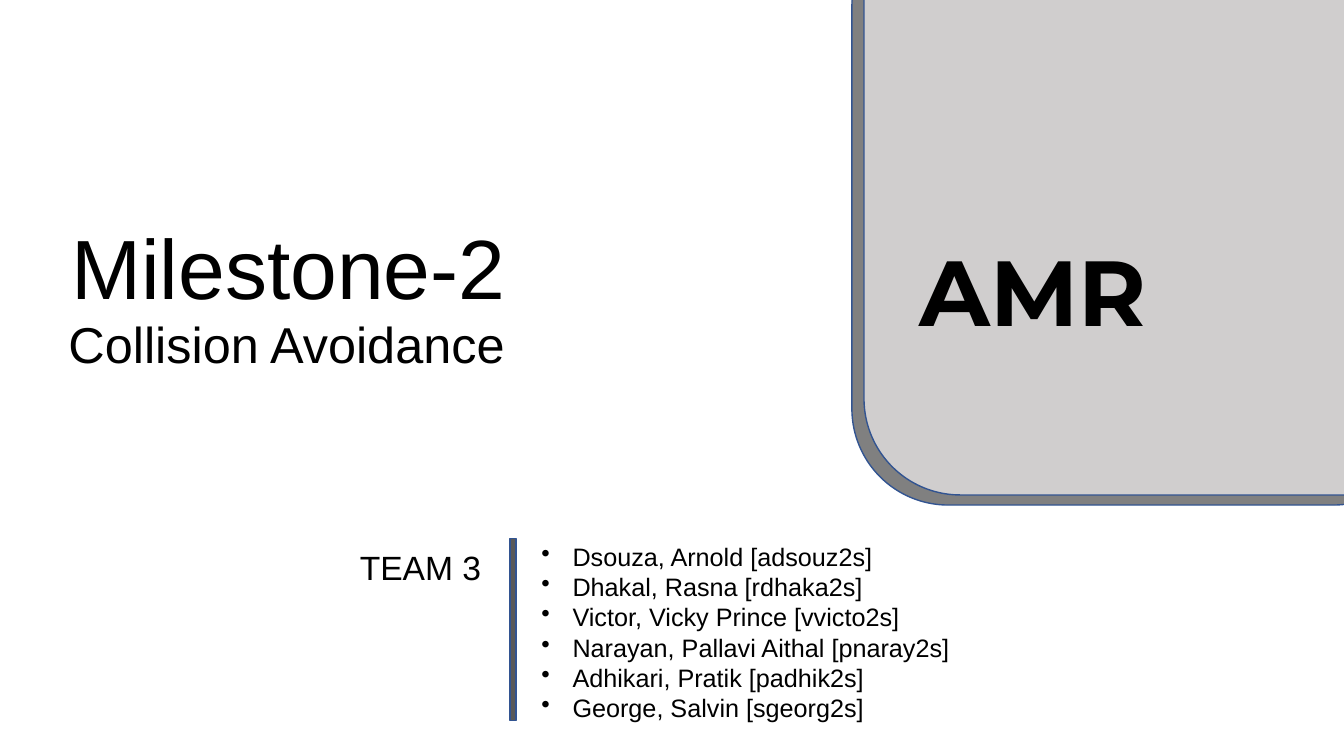
from pptx import Presentation
from pptx.dml.color import RGBColor
from pptx.enum.shapes import MSO_SHAPE
from pptx.enum.text import MSO_ANCHOR, PP_ALIGN
from pptx.oxml.ns import qn
from pptx.util import Inches, Pt
from lxml import etree

ROUND, RECT = MSO_SHAPE.ROUNDED_RECTANGLE, MSO_SHAPE.RECTANGLE
TOP, BOTTOM = MSO_ANCHOR.TOP, MSO_ANCHOR.BOTTOM
LEFT, CENTER = PP_ALIGN.LEFT, PP_ALIGN.CENTER

BLACK = RGBColor(0x00, 0x00, 0x00)
BLUE = RGBColor(0x32, 0x54, 0x91)
GRAY = RGBColor(0x80, 0x80, 0x80)
LIGHT = RGBColor(0xD0, 0xCE, 0xCE)
DARK = RGBColor(0x59, 0x59, 0x59)

# Content: shapes as (kind, box, fill)
SHAPES = [
    (ROUND, (8.45, -0.91, 5.73, 5.92), GRAY),
    (ROUND, (8.57, -1.01, 5.73, 5.92), LIGHT),
    (RECT, (5.06, 5.34, 0.06, 1.81), DARK),
]
# Labels as (text, box, size, font, bold, align, anchor, line spacing, space before)
LABELS = [
    ("Milestone-2", (-2.14, 0.59, 10, 2.61), 60, "Arial", False, CENTER, BOTTOM, 0.9, 0),
    ("Collision Avoidance", (0.58, 3.06, 9.29, 1.31), 36, "Arial", False, LEFT, TOP, 1, 0),
    ("AMR", (5.25, 0.88, 10, 2.61), 66, "Montserrat", True, CENTER, BOTTOM, 0.9, 0),
    ("TEAM 3", (3.33, 5.42, 1.68, 1.81), 24, "Arial", False, CENTER, TOP, 0.9, 10),
]
TEAM = [
    "Dsouza, Arnold [adsouz2s]",
    "Dhakal, Rasna [rdhaka2s]",
    "Victor, Vicky Prince [vvicto2s]",
    "Narayan, Pallavi Aithal [pnaray2s]",
    "Adhikari, Pratik [padhik2s]",
    "George, Salvin [sgeorg2s]",
]
TEAM_BOX = (5.27, 5.32, 5.25, 1.92)
INDENT = Inches(0.31)

deck = Presentation()
deck.slide_width, deck.slide_height = Inches(13.33), Inches(7.5)
slide = deck.slides.add_slide(deck.slide_layouts[6])


def add_text(lines, box, size, font, bold=False, align=LEFT, anchor=TOP, lead=1, before=0):
    frame = slide.shapes.add_textbox(*map(Inches, box)).text_frame
    frame.word_wrap = True
    frame.vertical_anchor = anchor
    frame.text = "\n".join(lines)
    for para in frame.paragraphs:
        para.alignment = align
        para.line_spacing = lead
        para.space_before = Pt(before)
        para.font.size = Pt(size)
        para.font.name = font
        para.font.bold = bold
        para.font.color.rgb = BLACK
    return frame


def add_bullet(para):
    props = para._p.get_or_add_pPr()
    props.set("marL", str(INDENT))
    props.set("indent", str(-INDENT))
    mark = etree.Element(qn("a:buChar"), char="•")
    props.find(qn("a:defRPr")).addprevious(mark)


# Corner panels and divider
for kind, box, fill in SHAPES:
    shape = slide.shapes.add_shape(kind, *map(Inches, box))
    shape.shadow.inherit = False
    shape.fill.solid()
    shape.fill.fore_color.rgb = fill
    shape.line.color.rgb = BLUE
    shape.line.width = Pt(1)

# Titles
for text, *style in LABELS:
    add_text([text], *style)

# Team members
for para in add_text(TEAM, TEAM_BOX, 18, "Arial").paragraphs:
    add_bullet(para)

deck.save("out.pptx")
